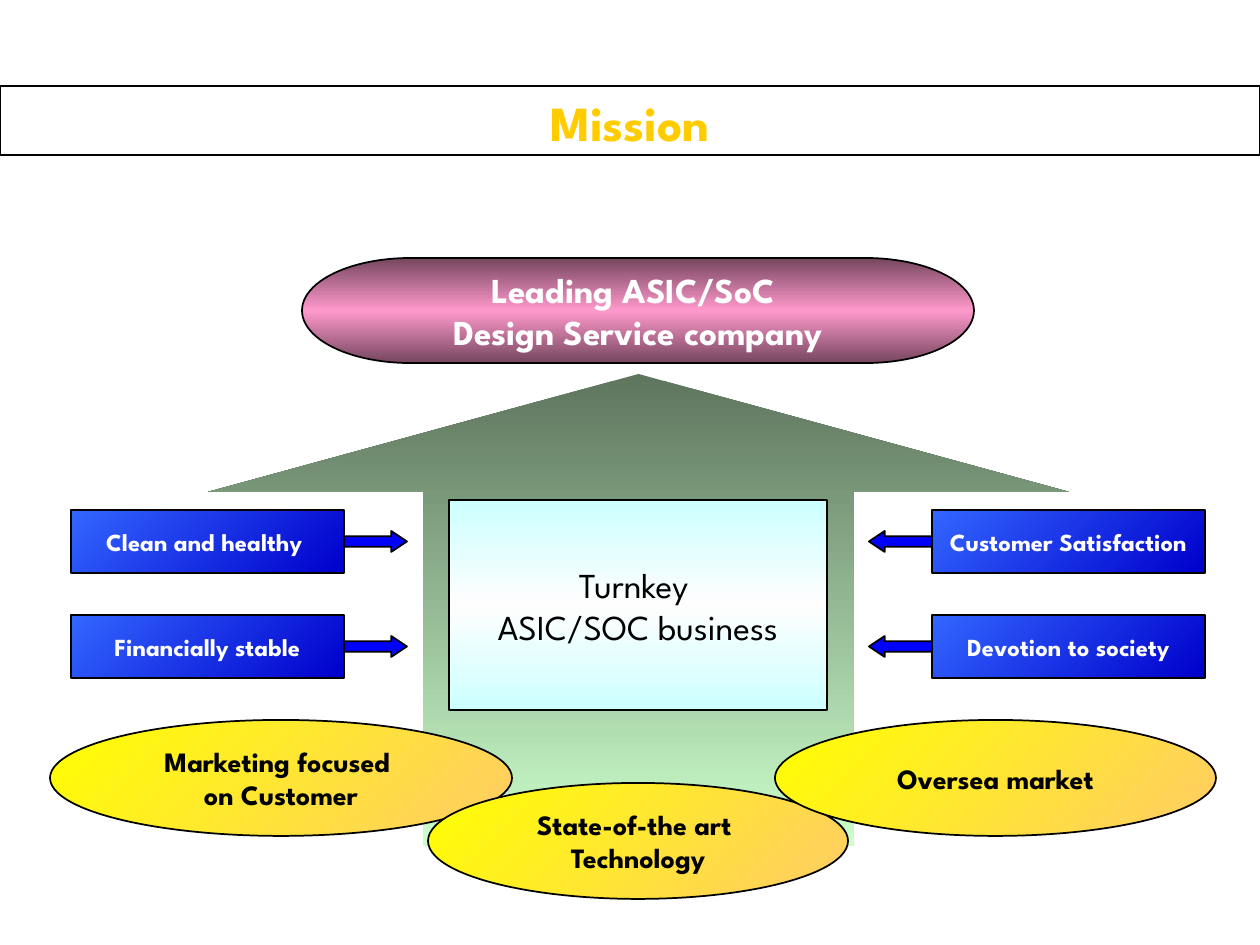
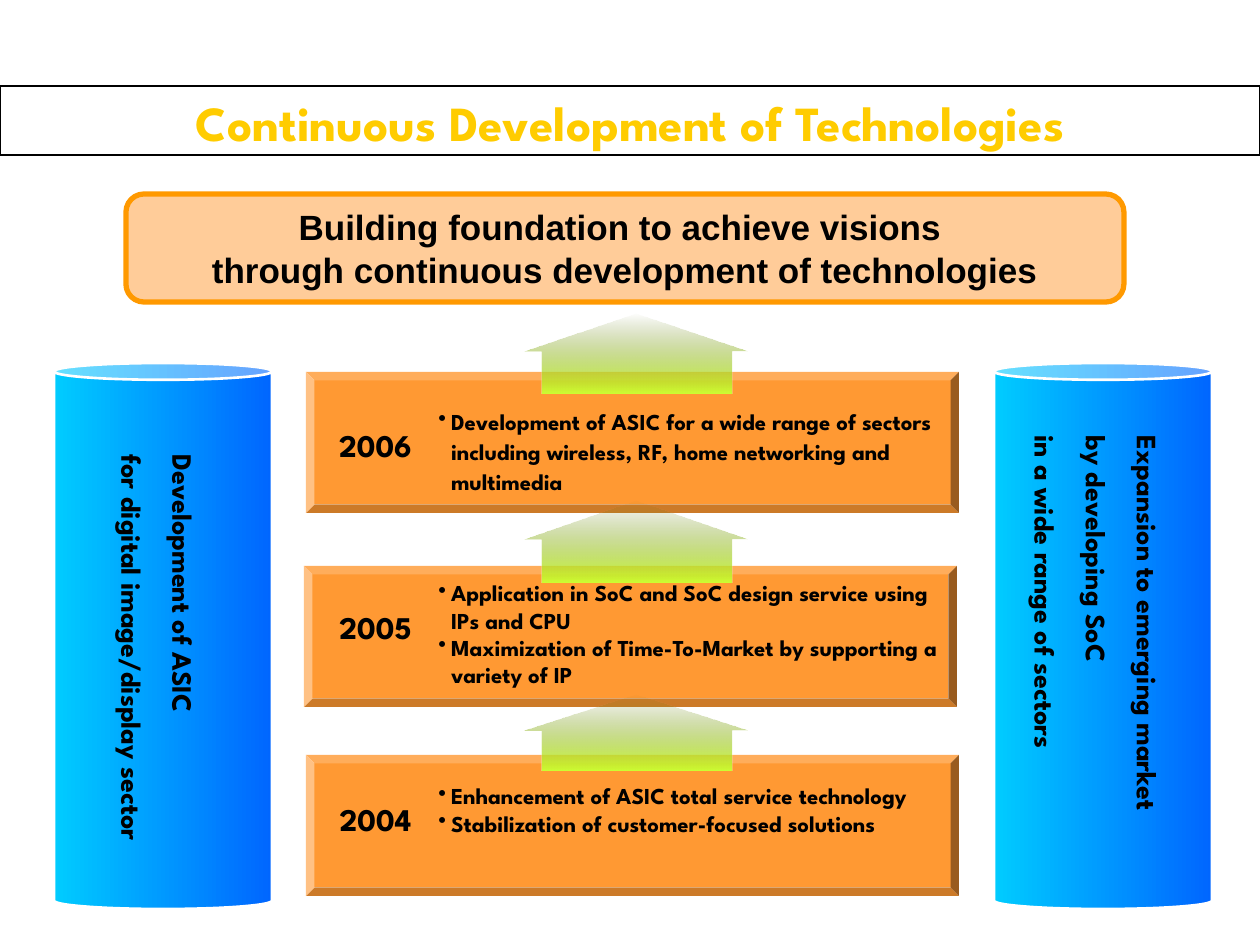
from collections import namedtuple
from dataclasses import dataclass

from lxml import etree
from pptx import Presentation
from pptx import util as u
from pptx.dml import color
from pptx.enum import shapes, text
from pptx.oxml import ns

PX = u.Inches(1) / 126
KIND = shapes.MSO_SHAPE
CENTER, LEFT = text.PP_ALIGN.CENTER, text.PP_ALIGN.LEFT
MIDDLE, TOP = text.MSO_ANCHOR.MIDDLE, text.MSO_ANCHOR.TOP

Box = namedtuple("Box", "x y w h")
Gradient = namedtuple("Gradient", "angle stops")
Type = namedtuple("Type", "size color bold font", defaults=(True, "League Spartan"))


@dataclass(frozen=True)
class Theme:
    ink: str = "000000"
    paper: str = "FFFFFF"
    link: str = "0000FF"
    step: str = "FF9933"
    vision: str = "FFCC99"
    vision_edge: str = "FF9900"
    growth: Gradient = Gradient(90, [(0, "5E755E"), (100, "CCFFCC")])
    core: Gradient = Gradient(90, [(0, "CCFFFF"), (50, "FEFEFE"), (100, "CCFFFF")])
    goal: Gradient = Gradient(90, [(0, "75465E"), (50, "FF99CC"), (100, "75465E")])
    value: Gradient = Gradient(225, [(0, "0000CC"), (100, "3366FF")])
    strength: Gradient = Gradient(225, [(0, "FFCC66"), (100, "FFFF00")])
    pillar: Gradient = Gradient(180, [(0, "0066FF"), (100, "00CCFF")])
    rise: Gradient = Gradient(270, [(0, "CCFF33"), (100, "5E7517", 0)])
    title_type: Type = Type(28, "FFCC00")
    goal_type: Type = Type(20, "FFFFFF")
    core_type: Type = Type(20, "000000", False)
    value_type: Type = Type(14, "FFFFFF")
    strength_type: Type = Type(16, "000000")
    vision_type: Type = Type(20, "000000", True, "Arial")
    year_type: Type = Type(18, "000000")
    note_type: Type = Type(13, "000000")


THEME = Theme()


def rgb(value):
    return color.RGBColor.from_string(value)


def apply(target, values):
    for name, value in values.items():
        setattr(target, name, value)


def emu(box):
    return [u.Emu(round(length * PX)) for length in box]


def inside(region, x, y, w, h):
    return Box(region.x + x, region.y + y, w, h)


def add_child(parent, tag, **attributes):
    return etree.SubElement(parent, ns.qn(tag), attributes)


def paint(shape, fill):
    if fill is None:
        shape.fill.background()
    elif isinstance(fill, Gradient):
        shape.fill.gradient()
        shape.fill.gradient_angle = 360 - fill.angle
        stops = shape._element.spPr.find(".//" + ns.qn("a:gsLst"))
        for stop in list(stops):
            stops.remove(stop)
        for position, tone, *alpha in fill.stops:
            stop = add_child(stops, "a:gs", pos=str(position * 1000))
            tint = add_child(stop, "a:srgbClr", val=tone)
            for share in alpha:
                add_child(tint, "a:alpha", val=str(share * 1000))
    else:
        shape.fill.solid()
        shape.fill.fore_color.rgb = rgb(fill)


def add_figure(slide, kind, box, fill=None, edge=None, weight=1, adjust=()):
    figure = slide.shapes.add_shape(kind, *emu(box))
    figure.shadow.inherit = False
    paint(figure, fill)
    if edge:
        figure.line.color.rgb = rgb(edge)
        figure.line.width = u.Pt(weight)
    else:
        figure.line.fill.background()
    for index, share in enumerate(adjust):
        figure.adjustments[index] = share
    return figure


def add_bullet(paragraph):
    properties = paragraph._p.get_or_add_pPr()
    apply_indent = {"marL": u.Inches(0.1), "indent": -u.Inches(0.1)}
    for name, value in apply_indent.items():
        properties.set(name, str(value))
    add_child(add_child(properties, "a:buClr"), "a:srgbClr", val=THEME.ink)
    add_child(properties, "a:buChar", char="•")


def add_glow_shadow(run):
    fill = run._r.rPr.find(ns.qn("a:solidFill"))
    effects = etree.Element(ns.qn("a:effectLst"))
    shadow = add_child(effects, "a:outerShdw", dist="25400", dir="2700000")
    add_child(shadow, "a:srgbClr", val=THEME.paper)
    fill.addnext(effects)


def write(shape, lines, style, align=CENTER, anchor=MIDDLE, wrap=False,
          bullets=False, leading=None, gap=0, shadowed=False):
    frame = shape.text_frame
    apply(frame, {"word_wrap": wrap, "vertical_anchor": anchor})
    for index, line in enumerate(lines):
        paragraph = frame.add_paragraph() if index else frame.paragraphs[0]
        if bullets:
            add_bullet(paragraph)
        paragraph.alignment = align
        if leading:
            paragraph.line_spacing = leading
        if index and gap:
            paragraph.space_before = u.Pt(gap)
        run = paragraph.add_run()
        run.text = line
        apply(run.font, {"size": u.Pt(style.size), "bold": style.bold, "name": style.font})
        run.font.color.rgb = rgb(style.color)
        if shadowed:
            add_glow_shadow(run)


def add_label(slide, box, lines, style, **layout):
    label = slide.shapes.add_textbox(*emu(box))
    write(label, lines, style, **layout)
    return label


def add_title(slide, title):
    band = add_figure(slide, KIND.RECTANGLE, Box(0, 86, 1260, 69), edge=THEME.ink, weight=0.75)
    write(band, [title], THEME.title_type, anchor=TOP, wrap=True)


def add_growth(slide, region):
    add_figure(slide, KIND.UP_ARROW, inside(region, 0, 116, 861, 472), THEME.growth,
               adjust=(0.5, 0.25))
    core = add_figure(slide, KIND.RECTANGLE, inside(region, 241, 242, 378, 210),
                      THEME.core, THEME.ink)
    write(core, ["Turnkey ", "ASIC/SOC business"], THEME.core_type)
    goal = add_figure(slide, KIND.FLOWCHART_TERMINATOR, inside(region, 94, 0, 672, 105),
                      THEME.goal, THEME.ink)
    write(goal, ["Leading ASIC/SoC ", "Design Service company"], THEME.goal_type)


def add_values(slide, region, names, arrow, arrow_x):
    for row, name in enumerate(names):
        top = row * 105
        value = add_figure(slide, KIND.RECTANGLE, inside(region, 0, top, region.w, 63),
                           THEME.value, THEME.ink)
        write(value, [name], THEME.value_type)
        add_figure(slide, arrow, inside(region, arrow_x, top + 21, 63, 21),
                   THEME.link, THEME.ink, adjust=(0.5, 0.75))


def add_strengths(slide, region):
    strengths = [
        (0, 0, 462, ["Marketing focused ", "on Customer"]),
        (378, 63, 420, ["State-of-the art ", "Technology"]),
        (725, 0, 441, ["Oversea market"]),
    ]
    for x, y, width, lines in strengths:
        strength = add_figure(slide, KIND.OVAL, inside(region, x, y, width, 116),
                              THEME.strength, THEME.ink)
        write(strength, lines, THEME.strength_type)


def add_vision(slide, box):
    vision = add_figure(slide, KIND.FLOWCHART_ALTERNATE_PROCESS, box,
                        THEME.vision, THEME.vision_edge, 3)
    write(vision, ["Building foundation to achieve visions ",
                   "through continuous development of technologies"], THEME.vision_type)


def add_milestone(slide, region, year, notes, step_x, year_y, notes_y, notes_w, leading):
    add_figure(slide, KIND.BEVEL, inside(region, step_x, 0, region.w, region.h),
               THEME.step, adjust=(0.06,))
    add_label(slide, inside(region, 122, notes_y, notes_w, 122), notes, THEME.note_type,
              align=LEFT, anchor=TOP, wrap=True, bullets=True, leading=leading)
    add_label(slide, inside(region, -8, year_y, 159, 50), [year], THEME.year_type,
              anchor=TOP, wrap=True)


def add_milestones(slide, region):
    milestones = [
        (58, "2006", ["Development of ASIC for a wide range of sectors including "
                      "wireless, RF, home networking and multimedia"], 2, 48, 27, 536, 1.1),
        (252, "2005", ["Application in SoC and SoC design service using IPs and CPU",
                       "Maximization of Time-To-Market by supporting a variety of IP"],
         0, 36, 7, 536, None),
        (441, "2004", ["Enhancement of ASIC total service technology",
                       "Stabilization of customer-focused solutions"], 2, 39, 21, 522, None),
    ]
    for top, *milestone in milestones:
        add_milestone(slide, inside(region, 0, top, region.w, 141), *milestone)
    for top, height in [(0, 79), (187, 81), (381, 76)]:
        add_figure(slide, KIND.UP_ARROW, inside(region, 221, top, 223, height),
                   THEME.rise, adjust=(0.845, 0.47))


def add_pillar(slide, region, label_box, lines):
    add_figure(slide, KIND.CAN, region, THEME.pillar, THEME.paper, 1.5, adjust=(0.077,))
    label = add_label(slide, inside(region, *label_box), lines, THEME.strength_type,
                      align=LEFT, gap=10, shadowed=True)
    side, end = u.Inches(0.05), u.Inches(0.1)
    apply(label.text_frame, {"margin_left": side, "margin_right": side,
                             "margin_top": end, "margin_bottom": end})
    label.text_frame._txBody.bodyPr.set("vert", "eaVert")


def build_mission(slide):
    add_growth(slide, Box(208, 258, 861, 588))
    add_values(slide, Box(71, 510, 273, 168), ["Clean and healthy ", "Financially stable"],
               KIND.RIGHT_ARROW, 273)
    add_values(slide, Box(932, 510, 273, 168), ["Customer Satisfaction", "Devotion to society"],
               KIND.LEFT_ARROW, -63)
    add_strengths(slide, Box(50, 720, 1166, 179))
    add_title(slide, "Mission")


def build_development(slide):
    add_milestones(slide, Box(304, 314, 653, 582))
    add_pillar(slide, Box(54, 363, 218, 546), Box(0, 79, 208, 300),
               ["Development of ASIC", "for digital image/display sector"])
    add_pillar(slide, Box(994, 363, 218, 546), Box(-16, 60, 238, 331),
               ["Expansion to emerging market", "by developing SoC",
                "in a wide range of sectors"])
    add_vision(slide, Box(126, 194, 998, 108))
    add_title(slide, "Continuous Development of Technologies")


def main():
    deck = Presentation()
    apply(deck, {"slide_width": u.Inches(10), "slide_height": u.Inches(7.5)})
    for build in (build_mission, build_development):
        build(deck.slides.add_slide(deck.slide_layouts[6]))
    deck.save("out.pptx")


if __name__ == "__main__":
    main()
